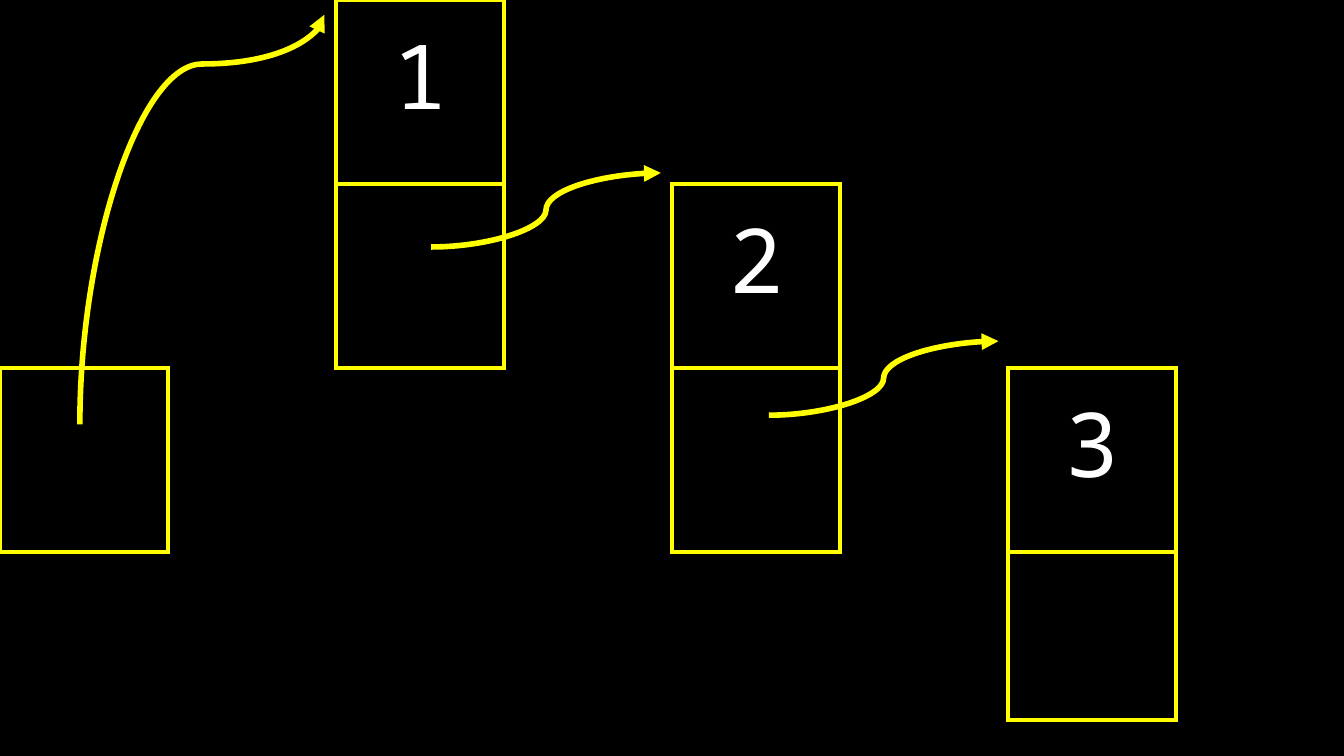
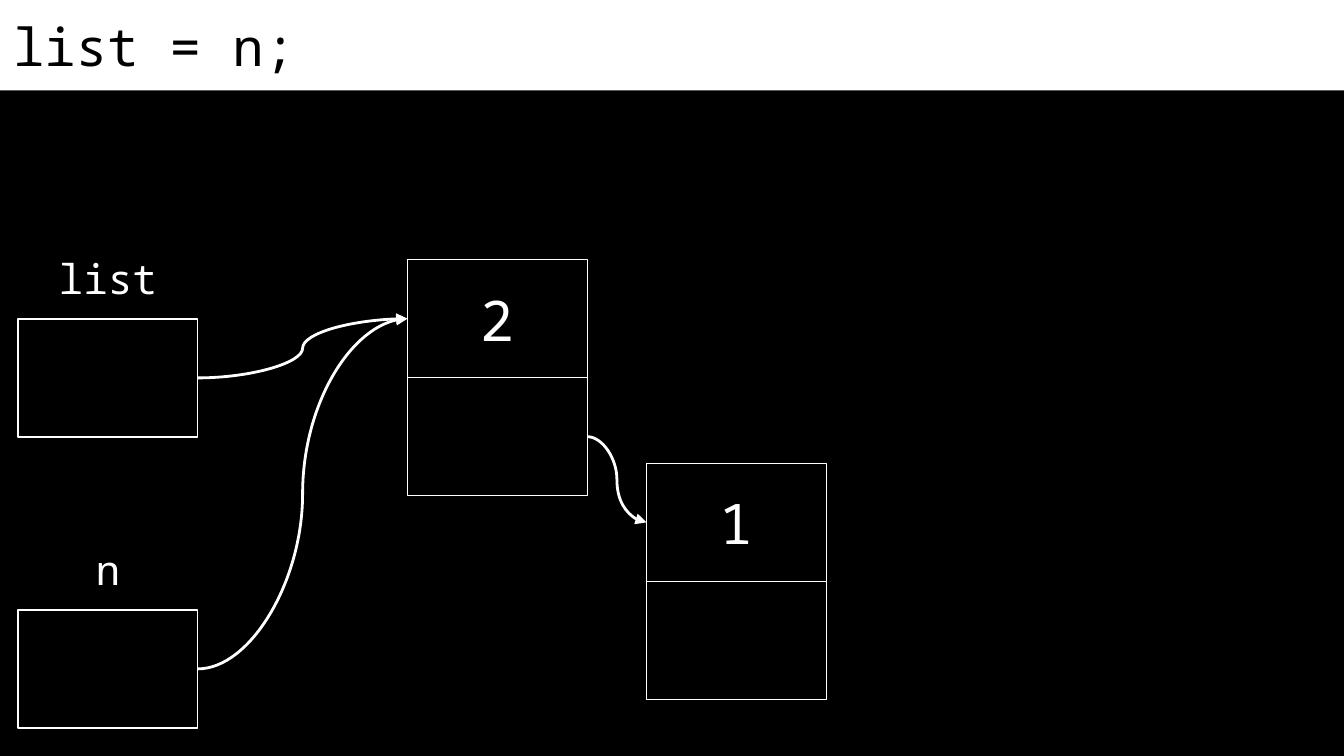
from lxml.etree import SubElement
from pptx import Presentation
from pptx.dml.color import RGBColor
from pptx.enum.shapes import MSO_CONNECTOR, MSO_SHAPE
from pptx.enum.text import MSO_ANCHOR, MSO_AUTO_SIZE, PP_ALIGN
from pptx.oxml.ns import qn
from pptx.util import Cm, Pt

COLORS = {"back": "000000", "ink": "FFFFFF", "grid": "FFFF00"}
FONT = "Noto Sans Mono"
NO_GRID_STYLE = "{2D5ABB26-0587-4C30-8999-92F81FD0307C}"

# Lengths in centimetres
PAGE_WIDTH, PAGE_HEIGHT = 25.4, 14.29
INSET = 0.25
BAND_HEIGHT = 1.71
COLUMNS, ROWS = 8, 5
CELL = PAGE_WIDTH / COLUMNS
NODE_WIDTH, NODE_HEIGHT = 3.4, 2.23
LABEL_WIDTH, LABEL_HEIGHT, LABEL_RISE = 2.39, 1.12, 1.48
LEFT_SITE, RIGHT_SITE = 1, 3


def color(name):
    return RGBColor.from_string(COLORS[name])


def write(frame, text, size, ink="ink", align=PP_ALIGN.CENTER, anchor=MSO_ANCHOR.MIDDLE):
    frame.margin_left = frame.margin_right = Cm(INSET)
    frame.margin_top = frame.margin_bottom = Cm(INSET)
    frame.vertical_anchor = anchor
    paragraph = frame.paragraphs[0]
    paragraph.text = text
    paragraph.alignment = align
    font = paragraph.font
    font.name, font.size, font.bold = FONT, Pt(size), False
    font.color.rgb = color(ink)


# Table cells
def add_border(cell, side, visible):
    properties = cell._tc.get_or_add_tcPr()
    line = SubElement(properties, qn(f"a:ln{side}"), w=str(Pt(3)))
    if visible:
        fill = SubElement(line, qn("a:solidFill"))
        SubElement(fill, qn("a:srgbClr"), val=COLORS["grid"])
    else:
        SubElement(line, qn("a:noFill"))


def add_memory_grid(page, boxed, values):
    frame = page.shapes.add_table(ROWS, COLUMNS, 0, 0, Cm(PAGE_WIDTH), Cm(CELL * ROWS))
    table = frame.table
    table.first_row = table.horz_banding = False
    table._tbl.tblPr.find(qn("a:tableStyleId")).text = NO_GRID_STYLE
    for row in range(ROWS):
        for column in range(COLUMNS):
            cell = table.cell(row, column)
            neighbours = {"L": (row, column - 1), "R": (row, column + 1),
                          "T": (row - 1, column), "B": (row + 1, column)}
            for side, neighbour in neighbours.items():
                add_border(cell, side, (row, column) in boxed or neighbour in boxed)
            cell.fill.background()
    for (row, column), value in values.items():
        cell = table.cell(row, column)
        write(cell.text_frame, value, 48)
        cell.vertical_anchor = MSO_ANCHOR.MIDDLE
        cell.margin_left = cell.margin_right = cell.margin_top = Cm(INSET)
        cell.margin_bottom = Cm(0.92)


# Curved arrows
def add_curve(page, start, end, ink, width):
    curve = page.shapes.add_connector(
        MSO_CONNECTOR.CURVE, *[Cm(value) for value in (*start, *end)])
    curve.line.color.rgb = color(ink)
    curve.line.width = Pt(width)
    properties = curve._element.spPr
    SubElement(properties.find(qn("a:ln")), qn("a:tailEnd"), type="triangle")
    SubElement(properties, qn("a:effectLst"))
    return curve


def add_upright_curve(page, start, end, ink, width, bend):
    """Leave the start upwards: a level curve turned by 270 degrees."""
    middle_x, middle_y = (start[0] + end[0]) / 2, (start[1] + end[1]) / 2
    half_rise, half_run = (start[1] - end[1]) / 2, (end[0] - start[0]) / 2
    curve = add_curve(page, (middle_x - half_rise, middle_y - half_run),
                      (middle_x + half_rise, middle_y + half_run), ink, width)
    properties = curve._element.spPr
    properties.find(qn("a:xfrm")).set("rot", str(270 * 60000))
    guides = properties.find(qn("a:prstGeom")).find(qn("a:avLst"))
    SubElement(guides, qn("a:gd"), name="adj1", fmla=f"val {round(bend * 100000)}")


def link(page, source, target):
    curve = add_curve(page, (0, 0), (1, 1), "ink", 1.5)
    curve.begin_connect(source, RIGHT_SITE)
    curve.end_connect(target, LEFT_SITE)


# Boxes of the linked list
def add_field(page, left, top, text=""):
    box = page.shapes.add_shape(MSO_SHAPE.RECTANGLE, Cm(left), Cm(top),
                                Cm(NODE_WIDTH), Cm(NODE_HEIGHT))
    box.shadow.inherit = False
    box.fill.background()
    box.line.color.rgb = color("ink")
    box.line.width = Pt(0.75)
    if text:
        write(box.text_frame, text, 30)
    return box


def add_node(page, left, top, value):
    return add_field(page, left, top, value), add_field(page, left, top + NODE_HEIGHT)


def add_variable(page, left, top, name):
    label = page.shapes.add_textbox(
        Cm(left + (NODE_WIDTH - LABEL_WIDTH) / 2), Cm(top - LABEL_RISE),
        Cm(LABEL_WIDTH), Cm(LABEL_HEIGHT))
    label.text_frame.word_wrap = False
    write(label.text_frame, name, 22, anchor=MSO_ANCHOR.TOP)
    return add_field(page, left, top)


def add_code_title(page, code):
    title = page.shapes.title
    title.left, title.top = 0, 0
    title.width, title.height = Cm(PAGE_WIDTH), Cm(BAND_HEIGHT)
    title.fill.solid()
    title.fill.fore_color.rgb = color("ink")
    title.text_frame.auto_size = MSO_AUTO_SIZE.NONE
    title.text_frame.word_wrap = True
    write(title.text_frame, code, 28, "back", PP_ALIGN.LEFT)


def build_memory_page(deck):
    page = deck.slides.add_slide(deck.slide_layouts[6])
    values = {(step, 2 + 2 * step): str(step + 1) for step in range(3)}
    pointers = {(row + 1, column) for row, column in values}
    add_memory_grid(page, {(2, 0), *values, *pointers}, values)
    for left, top in ((8.15, 4.67), (14.53, 7.85)):
        add_curve(page, (left, top), (left + 4.34, top - 1.4), "grid", 3)
    add_upright_curve(page, (1.51, 8.02), (6.13, 0.28), "grid", 3, bend=0.88)


def build_list_page(deck):
    page = deck.slides.add_slide(deck.slide_layouts[5])
    add_code_title(page, "list = n;")
    head = add_variable(page, 0.34, 6.03, "list")
    new = add_variable(page, 0.34, 11.53, "n")
    first_value, first_pointer = add_node(page, 7.7, 4.91, "2")
    second_value, _ = add_node(page, 12.22, 8.76, "1")
    link(page, new, first_value)
    link(page, first_pointer, second_value)
    link(page, head, first_value)


def main():
    deck = Presentation()
    deck.slide_width, deck.slide_height = Cm(PAGE_WIDTH), Cm(PAGE_HEIGHT)
    backdrop = deck.slide_master.background.fill
    backdrop.solid()
    backdrop.fore_color.rgb = color("back")
    build_memory_page(deck)
    build_list_page(deck)
    deck.save("out.pptx")


if __name__ == "__main__":
    main()
